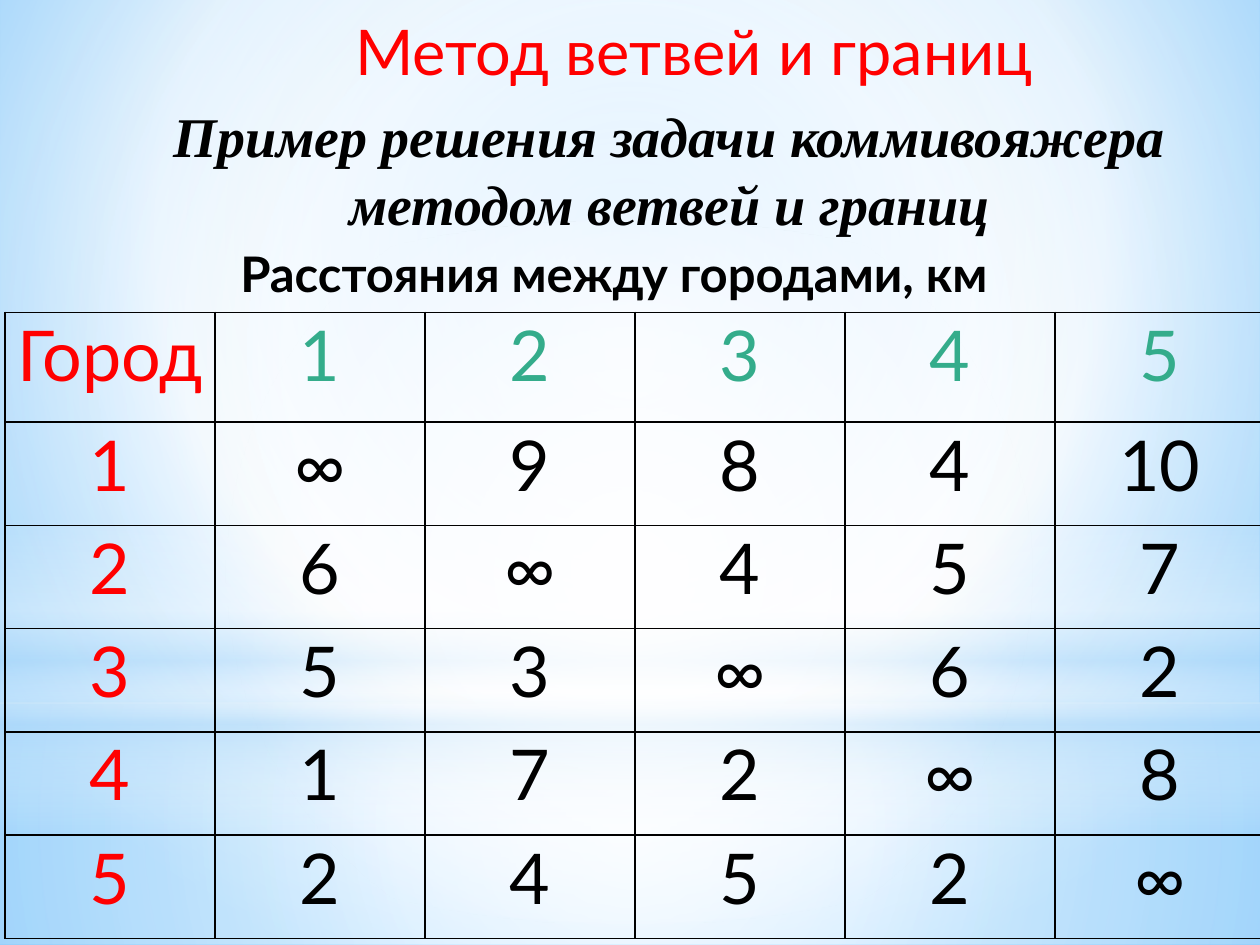
import dataclasses

import lxml.etree
import pptx
import pptx.dml.color
import pptx.enum.shapes
import pptx.enum.text
import pptx.oxml
import pptx.oxml.ns
import pptx.util

Inches = pptx.util.Inches
Shapes = pptx.enum.shapes.MSO_SHAPE
Align = pptx.enum.text.PP_ALIGN
AutoSize = pptx.enum.text.MSO_AUTO_SIZE


@dataclasses.dataclass(frozen=True)
class Theme:
    sans: str = "Lato"
    serif: str = "Times New Roman"
    red: str = "FF0000"
    green: str = "34AC8B"
    black: str = "000000"
    white: str = "FFFFFF"
    pale: str = "B4DCFA"
    sky: str = "9ED5FF"
    blue: str = "5BB9FF"
    title_size: int = 36
    subtitle_size: int = 32
    caption_size: int = 28
    table_size: int = 40


class SlideBuilder:
    """Holds the theme and the current slide and adds styled elements to it."""

    def __init__(self, slide, theme):
        self.slide = slide
        self.theme = theme

    def gradient(self, fill, owner, stops, center=None, angle=None):
        fill.gradient()
        namespace = pptx.oxml.ns.nsdecls("a")
        stop_xml = "".join(
            f'<a:gs pos="{position * 1000}"><a:srgbClr val="{color}">'
            f'<a:alpha val="{opacity * 1000}"/></a:srgbClr></a:gs>'
            for position, color, opacity in stops
        )
        if center:
            left, top, right, bottom = (value * 1000 for value in center)
            direction = (
                f'<a:path path="circle"><a:fillToRect l="{left}" t="{top}" '
                f'r="{right}" b="{bottom}"/></a:path>'
            )
        else:
            direction = f'<a:lin ang="{angle * 60000}" scaled="0"/>'
        new_gradient = pptx.oxml.parse_xml(
            f'<a:gradFill {namespace} rotWithShape="1"><a:gsLst>{stop_xml}</a:gsLst>'
            f"{direction}</a:gradFill>"
        )
        old_gradient = owner.find(".//" + pptx.oxml.ns.qn("a:gradFill"))
        old_gradient.getparent().replace(old_gradient, new_gradient)

    def background(self, stops, center):
        self.gradient(self.slide.background.fill, self.slide.element, stops, center)

    def glow(self, kind, box, stops, center=None, angle=None):
        shape = self.slide.shapes.add_shape(kind, *map(Inches, box))
        shape.shadow.inherit = False
        shape.line.fill.background()
        self.gradient(shape.fill, shape.element, stops, center, angle)

    def run(self, paragraph, text, size, color, font=None, bold=False, italic=False):
        run = paragraph.add_run()
        run.text = text
        run.font.name = font or self.theme.sans
        run.font.size = pptx.util.Pt(size)
        run.font.bold = bold
        run.font.italic = italic
        run.font.color.rgb = pptx.dml.color.RGBColor.from_string(color)

    def text(self, box, text, size, color, align=Align.LEFT, indent=0, wrap=True,
             auto_size=AutoSize.SHAPE_TO_FIT_TEXT, **style):
        frame = self.slide.shapes.add_textbox(*map(Inches, box)).text_frame
        frame.word_wrap = wrap
        frame.auto_size = auto_size
        paragraph = frame.paragraphs[0]
        paragraph.alignment = align
        if indent:
            paragraph._p.get_or_add_pPr().set("indent", str(Inches(indent)))
        self.run(paragraph, text, size, color, **style)

    def cell(self, cell, text, color):
        cell.margin_left = cell.margin_right = Inches(0.07)
        cell.margin_top = cell.margin_bottom = 0
        paragraph = cell.text_frame.paragraphs[0]
        paragraph.alignment = Align.CENTER
        self.run(paragraph, text, self.theme.table_size, color)
        cell.fill.background()
        properties = cell._tc.get_or_add_tcPr()
        for index, side in enumerate(("lnL", "lnR", "lnT", "lnB")):
            border = pptx.oxml.parse_xml(
                f'<a:{side} {pptx.oxml.ns.nsdecls("a")} w="12700"><a:solidFill>'
                f'<a:srgbClr val="{self.theme.black}"/></a:solidFill></a:{side}>'
            )
            properties.insert(index, border)

    def table(self, box, rows, header_height, row_height):
        column_count = len(rows[0])
        table = self.slide.shapes.add_table(
            len(rows), column_count, *map(Inches, box)
        ).table
        table.first_row = table.horz_banding = False
        for column in table.columns:
            column.width = Inches(box[2] / column_count)
        for row_index, values in enumerate(rows):
            height = row_height if row_index else header_height
            table.rows[row_index].height = Inches(height)
            for column_index, value in enumerate(values):
                if column_index == 0:
                    color = self.theme.red
                else:
                    color = self.theme.black if row_index else self.theme.green
                self.cell(table.cell(row_index, column_index), value, color)


def main():
    presentation = pptx.Presentation()
    presentation.slide_width = Inches(10)
    presentation.slide_height = Inches(7.5)
    theme = Theme()
    white, pale = theme.white, theme.pale
    slide = presentation.slides.add_slide(presentation.slide_layouts[6])
    builder = SlideBuilder(slide, theme)

    builder.background(
        [(0, theme.sky, 100), (60, white, 100), (100, theme.blue, 100)],
        (20, 10, 20, 60),
    )
    middle = (50, 50, 50, 50)
    builder.glow(Shapes.RECTANGLE, (0, 5.58, 10, 1.92),
                 [(0, white, 91), (37, white, 76), (100, pale, 79)], middle)
    builder.glow(Shapes.RECTANGLE, (0, 0, 10, 5.58),
                 [(0, white, 89), (48, white, 62), (100, pale, 79)], middle)
    builder.glow(Shapes.RECTANGLE, (0, 4.12, 10, 2.5),
                 [(0, white, 0), (29, white, 30), (45, pale, 40),
                  (55, white, 26), (65, pale, 60), (100, white, 0)], angle=90)
    builder.glow(Shapes.OVAL, (0, 1.75, 10, 5.58),
                 [(0, white, 100), (56, white, 0)], middle)

    distances = [
        ["Город", "1", "2", "3", "4", "5"],
        ["1", "∞", "9", "8", "4", "10"],
        ["2", "6", "∞", "4", "5", "7"],
        ["3", "5", "3", "∞", "6", "2"],
        ["4", "1", "7", "2", "∞", "8"],
        ["5", "2", "4", "5", "2", "∞"],
    ]
    builder.table((0.04, 2.48, 10, 4.97), distances, 0.87, 0.82)

    builder.text((1.46, 1.88, 7.01, 0.88), "Расстояния между городами, км",
                 theme.caption_size, theme.black, indent=0.35,
                 auto_size=AutoSize.NONE, bold=True)
    builder.text((2.72, 0.05, 5.6, 0.71), "Метод ветвей и границ",
                 theme.title_size, theme.red, wrap=False)
    builder.text((0.63, 0.76, 9.37, 1.18),
                 "Пример решения задачи коммивояжера методом ветвей и границ",
                 theme.subtitle_size, theme.black, align=Align.CENTER,
                 font=theme.serif, bold=True, italic=True)

    presentation.save("out.pptx")


if __name__ == "__main__":
    main()
